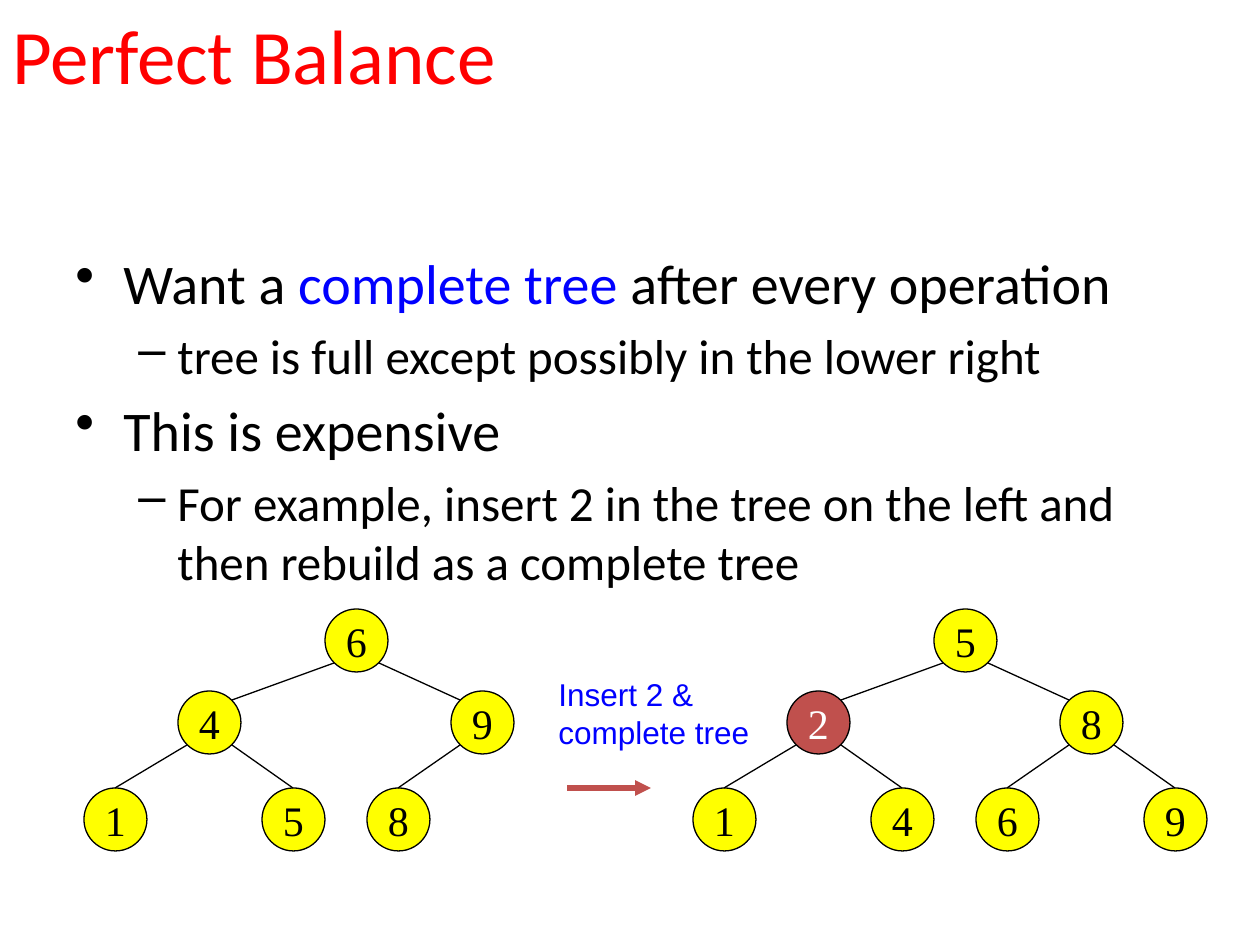
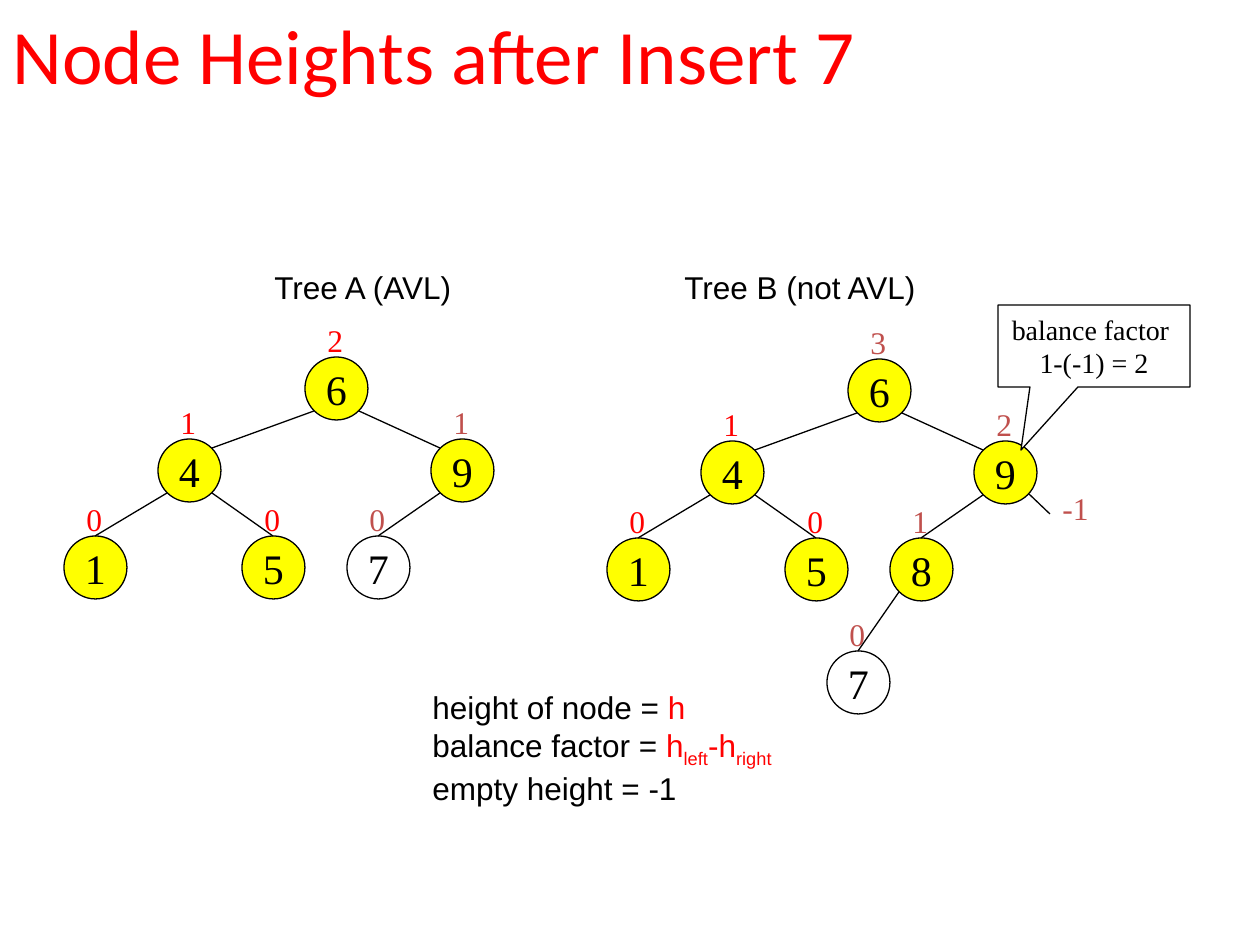
"""Build two slides on balanced binary search trees."""
from lxml import etree
from pptx import Presentation
from pptx.dml.color import RGBColor
from pptx.enum.shapes import MSO_CONNECTOR, MSO_SHAPE
from pptx.enum.text import MSO_ANCHOR, PP_ALIGN
from pptx.oxml.ns import qn
from pptx.util import Pt

STRAIGHT = MSO_CONNECTOR.STRAIGHT
OVAL = MSO_SHAPE.OVAL
CALLOUT = MSO_SHAPE.RECTANGULAR_CALLOUT
MIDDLE = MSO_ANCHOR.MIDDLE
CENTER = PP_ALIGN.CENTER

BLACK = RGBColor(0x00, 0x00, 0x00)
WHITE = RGBColor(0xFF, 0xFF, 0xFF)
RED = RGBColor(0xFF, 0x00, 0x00)
BLUE = RGBColor(0x00, 0x00, 0xFF)
YELLOW = RGBColor(0xFF, 0xFF, 0x00)
BRICK = RGBColor(0xC0, 0x50, 0x4D)

SANS, SERIF, HEADING = "Arial", "Times New Roman", "Calibri"
PIXEL = 914400 / 126
NODE = 63
NEAR, FAR = 9, 54
SLOTS = {
    "": (0, 0),
    "L": (-147, 82), "R": (126, 82),
    "LL": (-241, 179), "LR": (-63, 179), "RL": (42, 179), "RR": (210, 179),
    "RLL": (-21, 292),
}


def write(shape, lines, font, size, align=None):
    """Fill a shape with lines of (text, colour, baseline) spans."""
    frame = shape.text_frame
    for index, line in enumerate(lines):
        para = frame.add_paragraph() if index else frame.paragraphs[0]
        para.font.name, para.font.size = font, Pt(size)
        para.alignment = align
        for text, colour, baseline in line:
            span = para.add_run()
            span.text = text
            span.font.color.rgb = colour
            if baseline:
                span._r.get_or_add_rPr().set("baseline", str(baseline))
    return frame


def connect(page, start, end, colour=BLACK, width=0.75):
    """Draw a plain straight line between two points."""
    ends = [round(value * PIXEL) for value in (*start, *end)]
    line = page.shapes.add_connector(STRAIGHT, *ends)
    line.line.color.rgb, line.line.width = colour, Pt(width)
    etree.SubElement(line._element.spPr, qn("a:effectLst"))
    return line


deck = Presentation()
deck.slide_width, deck.slide_height = round(1260 * PIXEL), round(945 * PIXEL)
blank = deck.slide_layouts[6]
balance, heights = deck.slides.add_slide(blank), deck.slides.add_slide(blank)

HEIGHT_LINES = [
    [("height of node = ", BLACK, 0), ("h", RED, 0)],
    [("balance factor = ", BLACK, 0), ("h", RED, 0), ("left", RED, -25000),
     ("-h", RED, 0), ("right", RED, -25000)],
    [("empty height = -1", BLACK, 0)],
]
texts = [
    (balance, (0, -25, 1134, 158), [[("Perfect Balance", RED, 0)]], HEADING, 44),
    (heights, (0, -25, 1134, 158), [[("Node Heights after Insert 7", RED, 0)]], HEADING, 44),
    (balance, (546, 669, 237, 97),
     [[("Insert 2 &", BLUE, 0)], [("complete tree", BLUE, 0)]], SANS, 18),
    (heights, (262, 262, 231, 54), [[("Tree A (AVL)", BLACK, 0)]], SANS, 18),
    (heights, (672, 262, 315, 54), [[("Tree B (not AVL)", BLACK, 0)]], SANS, 18),
    (heights, (420, 682, 410, 139), HEIGHT_LINES, SANS, 18),
    (heights, (1050, 483, 54, 54), [[("-1", BRICK, 0)]], SERIF, 18),
]

trees = [
    (balance, 325, 609, {"": 6, "L": 4, "R": 9, "LL": 1, "LR": 5, "RL": 8}, "", ""),
    (balance, 934, 609,
     {"": 5, "L": 2, "R": 8, "LL": 1, "LR": 4, "RL": 6, "RR": 9}, "L", ""),
    (heights, 305, 357, {"": 6, "L": 4, "R": 9, "LL": 1, "LR": 5, "RL": 7}, None, "RL"),
    (heights, 848, 359,
     {"": 6, "L": 4, "R": 9, "LL": 1, "LR": 5, "RL": 8, "RLL": 7}, None, "RLL"),
]
labels = [
    (305, 357, {"": (2, RED), "L": (1, RED), "R": (1, BRICK),
                "LL": (0, RED), "LR": (0, RED), "RL": (0, BRICK)}),
    (848, 359, {"": (3, BRICK), "L": (1, RED), "R": (2, BRICK), "LL": (0, RED),
                "LR": (0, RED), "RL": (1, BRICK), "RLL": (0, BRICK)}),
]
for left, top, values in labels:
    for slot, (value, colour) in values.items():
        place = (left + SLOTS[slot][0] + 10, top + SLOTS[slot][1] - 42, 43, 54)
        texts.append((heights, place, [[(str(value), colour, 0)]], SERIF, 18))

for page, place, lines, font, size in texts:
    box = page.shapes.add_textbox(*[round(value * PIXEL) for value in place])
    frame = write(box, lines, font, size)
    frame.word_wrap = True
    if font == HEADING:
        frame.vertical_anchor = MIDDLE

bullets = [
    (0, [("Want a ", BLACK, 0), ("complete tree", BLUE, 0),
         (" after every operation", BLACK, 0)]),
    (1, [("tree is full except possibly in the lower right", BLACK, 0)]),
    (0, [("This is expensive", BLACK, 0)]),
    (1, [("For example, insert 2 in the tree on the left and "
          "then rebuild as a complete tree", BLACK, 0)]),
]
LEVELS = [(32, 48, -48, "•"), (28, 102, -39, "–")]
body = balance.shapes.add_textbox(*[round(value * PIXEL) for value in (63, 242, 1166, 378)])
frame = write(body, [line for level, line in bullets], HEADING, 32)
frame.word_wrap = True
for para, (level, line) in zip(frame.paragraphs, bullets):
    size, margin, indent, mark = LEVELS[level]
    para.level = level
    para.font.size = Pt(size)
    para.space_before = Pt(size * 0.2)
    properties = para._p.get_or_add_pPr()
    properties.set("marL", str(round(margin * PIXEL)))
    properties.set("indent", str(round(indent * PIXEL)))
    bullet = etree.Element(qn("a:buChar"), char=mark)
    properties.find(qn("a:defRPr")).addprevious(bullet)

for page, left, top, keys, changed, inserted in trees:
    for slot, key in keys.items():
        x, y = left + SLOTS[slot][0], top + SLOTS[slot][1]
        node = page.shapes.add_shape(
            OVAL, *[round(value * PIXEL) for value in (x, y, NODE, NODE)])
        node.shadow.inherit = False
        node.line.color.rgb, node.line.width = BLACK, Pt(0.75)
        if slot and slot == inserted:
            node.fill.background()
        else:
            node.fill.solid()
            node.fill.fore_color.rgb = BRICK if slot and slot == changed else YELLOW
        colour = WHITE if slot and slot == changed else BLACK
        frame = write(node, [[(str(key), colour, 0)]], SERIF, 24, CENTER)
        frame.word_wrap, frame.vertical_anchor = False, MIDDLE
        if slot:
            is_left = slot[-1] == "L"
            parent_x, parent_y = SLOTS[slot[:-1]]
            start = (left + parent_x + (NEAR if is_left else FAR), top + parent_y + FAR)
            if len(slot) == 1:
                end = (x + (FAR if is_left else NEAR), y + NEAR)
            else:
                end = (x + NODE // 2, y)
            connect(page, start, end)

arrow = connect(balance, (567, 788), (651, 788), BRICK, 3)
etree.SubElement(arrow.line._get_or_add_ln(), qn("a:tailEnd"), type="triangle")

connect(heights, (1029, 494), (1050, 514))
callout = heights.shapes.add_shape(
    CALLOUT, *[round(value * PIXEL) for value in (998, 305, 192, 82)])
callout.shadow.inherit = False
callout.adjustments[0], callout.adjustments[1] = -0.38, 1.27
callout.fill.solid()
callout.fill.fore_color.rgb = WHITE
callout.line.color.rgb, callout.line.width = BLACK, Pt(0.75)
frame = write(callout, [[("balance factor ", BLACK, 0)], [("1-(-1) = 2", BLACK, 0)]],
              SERIF, 16, CENTER)
frame.word_wrap, frame.vertical_anchor = False, MIDDLE

deck.save("out.pptx")
